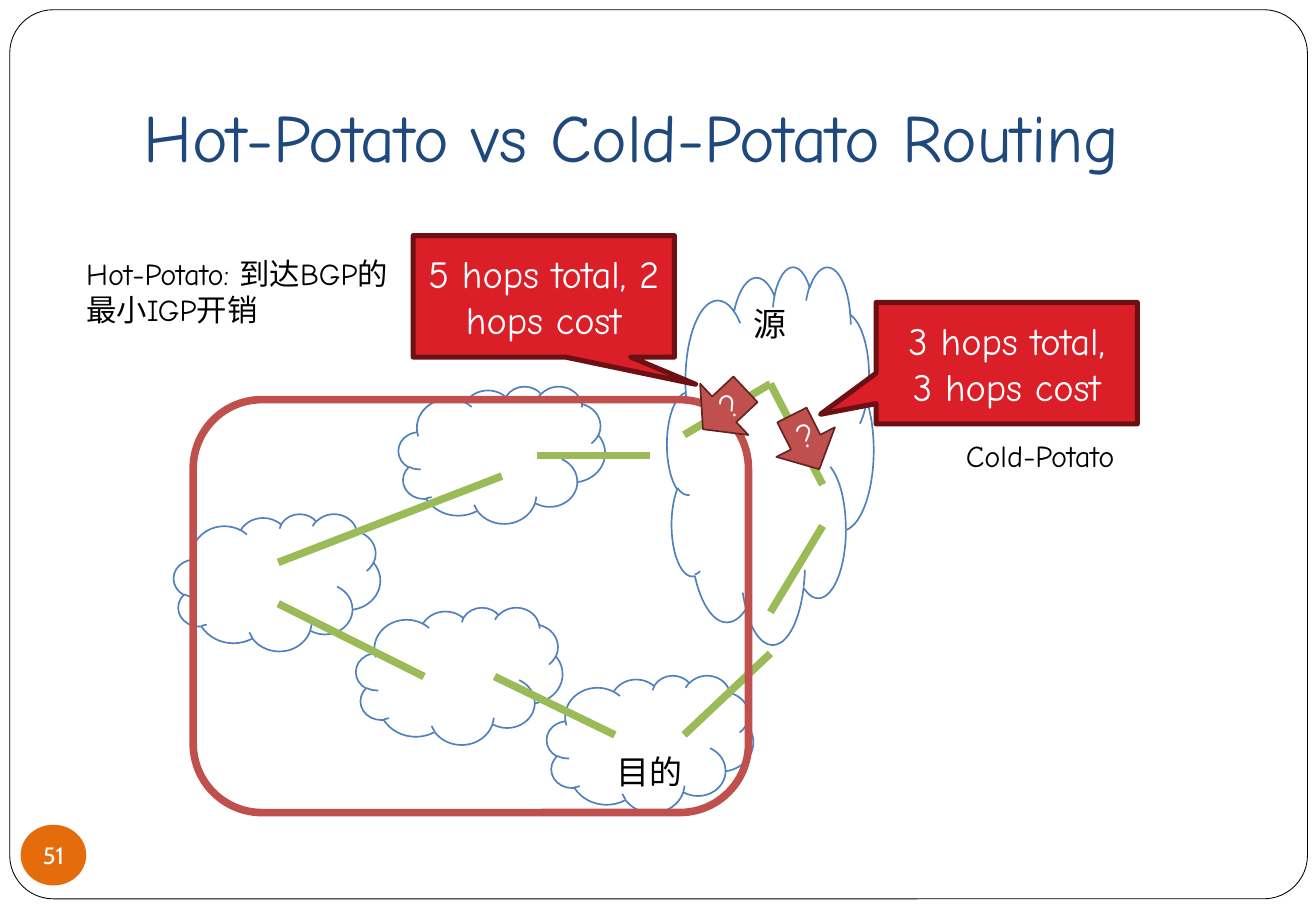
from lxml.etree import SubElement
from pptx import Presentation
from pptx.dml.color import RGBColor
from pptx.enum.shapes import MSO_CONNECTOR, MSO_SHAPE
from pptx.enum.text import MSO_ANCHOR, PP_ALIGN
from pptx.oxml.ns import qn
from pptx.util import Emu, Pt

PX = 9144
LATIN, CHINESE, NUMBER = "Comic Neue", "Noto Sans CJK SC", "Cabin"
NAVY, BLUE, GREEN, BRICK, DARK_BRICK = "1F497D", "4F81BD", "9BBB59", "C0504D", "632523"
RED, DARK_RED, ORANGE, BLACK, WHITE = "DA1F28", "6D1014", "E46C0A", "000000", "FFFFFF"

TITLE = "Hot-Potato vs Cold-Potato Routing"
CLOUD_SIZE = (170, 113)
CLOUDS = [
    (450, 556, *CLOUD_SIZE),
    (328, 318, *CLOUD_SIZE),
    (143, 423, *CLOUD_SIZE),
    (549, 219, 170, 311),
    (293, 500, *CLOUD_SIZE),
]
LINKS = [
    (229, 463, 413, 392),
    (535, 375, 442, 375),
    (563, 605, 634, 538),
    (634, 316, 677, 399),
    (634, 504, 677, 433),
    (634, 316, 563, 358),
    (349, 557, 229, 497),
    (407, 557, 506, 605),
]
ARROWS = [
    (MSO_SHAPE.DOWN_ARROW, (636, 339, 54, 50), 333.2),
    (MSO_SHAPE.LEFT_ARROW, (572, 308, 48, 58), 316.8),
]
CALLOUTS = [
    (["3 hops total,", "3 hops cost"], (721, 249, 215, 100), (-0.713, 0.421)),
    (["5 hops total, 2 hops cost"], (340, 194, 215, 100), (0.581, 0.724)),
]
LABELS = [
    ("目的", (497, 614, 75, 43), dict(size=19.5, font=CHINESE, align=PP_ALIGN.CENTER, wrap=False)),
    ("源", (610, 245, 48, 43), dict(size=19.5, font=CHINESE, align=PP_ALIGN.CENTER, wrap=False)),
    ("Hot-Potato: 到达BGP的最小IGP开销", (61, 205, 278, 71), dict(size=18)),
    ("Cold-Potato", (785, 355, 170, 40), dict(size=18)),
]


def color(value):
    """Turn a hex string into a colour."""
    return RGBColor.from_string(value)


def lengths(*values):
    """Turn px into EMU."""
    return [Emu(value * PX) for value in values]


def write_text(shape, lines, size, font=LATIN, fill=BLACK, align=PP_ALIGN.LEFT,
               anchor=MSO_ANCHOR.TOP, wrap=True, insets=(10, 5, 10, 5)):
    """Put lines of text into a shape, one paragraph each."""
    frame = shape.text_frame
    frame.word_wrap = wrap
    frame.vertical_anchor = anchor
    (frame.margin_left, frame.margin_top,
     frame.margin_right, frame.margin_bottom) = lengths(*insets)
    frame.text = "\n".join(lines)
    for paragraph in frame.paragraphs:
        paragraph.alignment = align
        for run in paragraph.runs:
            run.font.size = Pt(size)
            run.font.name = font
            run.font.color.rgb = color(fill)
            east_asian = SubElement(run.font._element, qn("a:ea"))
            east_asian.set("typeface", CHINESE)


def add_box(slide, kind, box, fill=None, line=None, width=1, adjustments=()):
    """Add a preset shape with its fill, outline and adjustments."""
    shape = slide.shapes.add_shape(kind, *lengths(*box))
    shape.shadow.inherit = False
    for index, value in enumerate(adjustments):
        shape.adjustments[index] = value
    if fill:
        shape.fill.solid()
        shape.fill.fore_color.rgb = color(fill)
    else:
        shape.fill.background()
    if line:
        shape.line.color.rgb = color(line)
        shape.line.width = Pt(width)
    else:
        shape.line.fill.background()
    return shape


def add_link(slide, ends):
    """Add a thick green line between two points."""
    link = slide.shapes.add_connector(MSO_CONNECTOR.STRAIGHT, *lengths(*ends))
    link.line.color.rgb = color(GREEN)
    link.line.width = Pt(4.5)
    SubElement(link._element.spPr, qn("a:effectLst"))


def main():
    """Build the slide and save it."""
    presentation = Presentation()
    presentation.slide_width, presentation.slide_height = lengths(1083, 750)
    slide = presentation.slides.add_slide(presentation.slide_layouts[5])

    add_box(slide, MSO_SHAPE.ROUNDED_RECTANGLE, (8, 8, 1068, 732),
            line=BLACK, width=0.5, adjustments=[0.049])
    title = slide.shapes.title
    title.left, title.top, title.width, title.height = lengths(108, 30, 921, 125)
    write_text(title, [TITLE], size=40, fill=NAVY, anchor=MSO_ANCHOR.BOTTOM,
               insets=(10, 5, 10, 10))

    for box in CLOUDS:
        add_box(slide, MSO_SHAPE.CLOUD, box, fill=WHITE, line=BLUE)
    for ends in LINKS:
        add_link(slide, ends)
    add_box(slide, MSO_SHAPE.ROUNDED_RECTANGLE, (159, 329, 457, 340), line=BRICK, width=4.5)

    for kind, box, rotation in ARROWS:
        arrow = add_box(slide, kind, box, fill=BRICK, line=DARK_BRICK)
        arrow.rotation = rotation
        write_text(arrow, ["?"], size=19.5, fill=WHITE, align=PP_ALIGN.CENTER,
                   anchor=MSO_ANCHOR.MIDDLE)
    for lines, box, tip in CALLOUTS:
        callout = add_box(slide, MSO_SHAPE.RECTANGULAR_CALLOUT, box, fill=RED,
                          line=DARK_RED, width=3, adjustments=tip)
        write_text(callout, lines, size=22.8, fill=WHITE, align=PP_ALIGN.CENTER,
                   anchor=MSO_ANCHOR.MIDDLE)
    for text, box, style in LABELS:
        write_text(slide.shapes.add_textbox(*lengths(*box)), [text], **style)

    badge = add_box(slide, MSO_SHAPE.OVAL, (17, 679, 54, 50), fill=ORANGE)
    write_text(badge, ["51"], size=14, font=NUMBER, fill=WHITE, align=PP_ALIGN.CENTER,
               anchor=MSO_ANCHOR.MIDDLE, wrap=False, insets=(0, 0, 0, 0))
    presentation.save("out.pptx")


if __name__ == "__main__":
    main()
